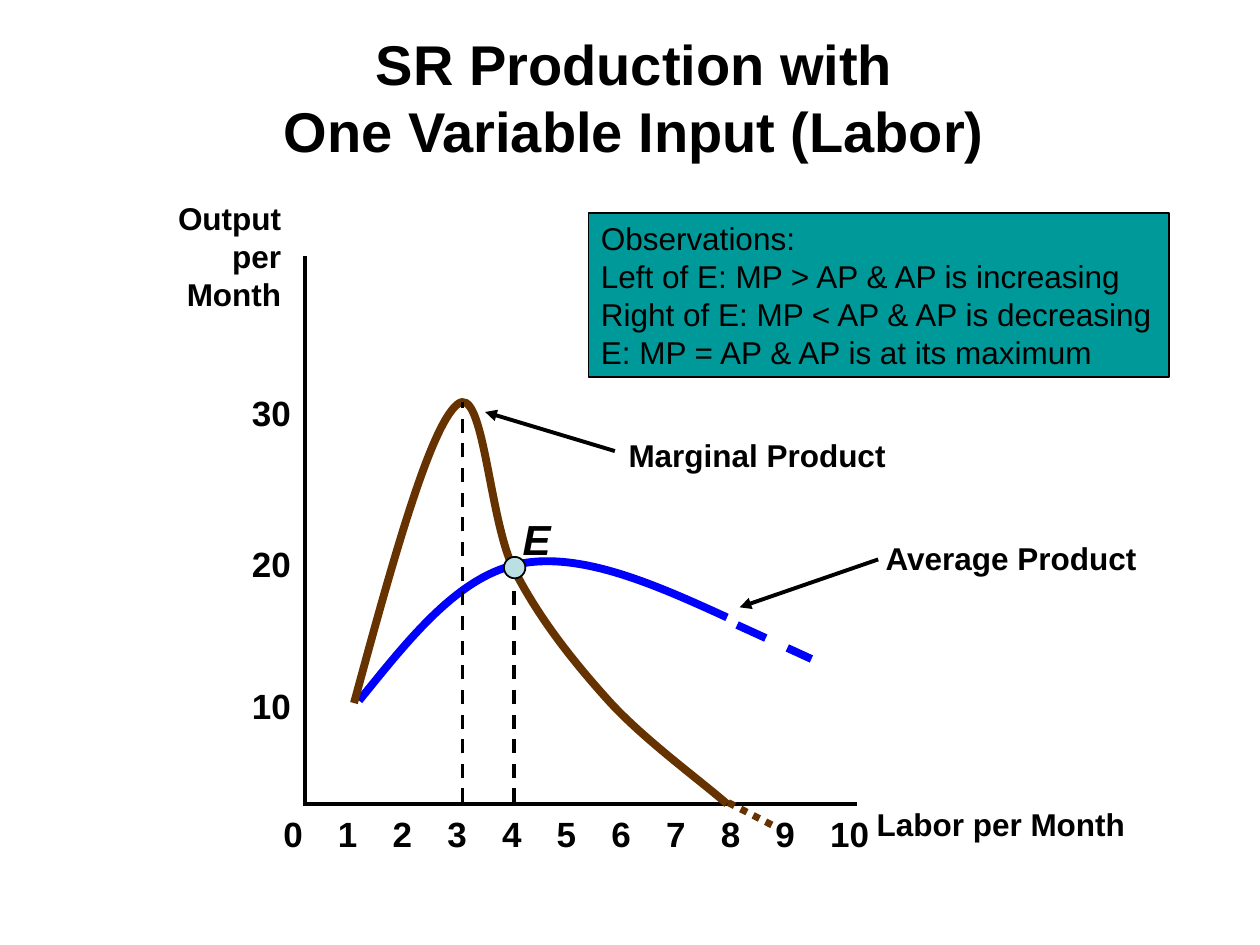
from dataclasses import dataclass
from typing import Optional

from lxml.etree import SubElement
from pptx import Presentation
from pptx.dml.color import RGBColor
from pptx.enum.dml import MSO_LINE as Dash
from pptx.enum.shapes import MSO_CONNECTOR as Link, MSO_SHAPE as Kind
from pptx.enum.text import MSO_ANCHOR as Anchor, MSO_AUTO_SIZE as Fit, PP_ALIGN as Align
from pptx.oxml.ns import qn
from pptx.util import Inches, Pt

HUES = {"ink": "000000", "blue": "0000FF", "brown": "663300",
        "teal": "009999", "pale": "BBE0E3"}
Point = tuple[float, float]


@dataclass
class Label:
    text: str
    left: float
    top: float
    width: float
    height: float = 0.4
    size: int = 18
    bold: bool = True
    slant: bool = False
    wrap: bool = False
    align: Align = Align.LEFT


@dataclass
class Stroke:
    start: Point
    end: Point
    width: float = 2
    hue: str = "ink"
    dash: Optional[Dash] = None
    arrow: bool = False


@dataclass
class Curve:
    hue: str
    points: list[Point]  # start, then two controls and an end per segment


def color(hue: str) -> RGBColor:
    return RGBColor.from_string(HUES[hue])


def set_line(line, hue: str, width: float) -> None:
    line.color.rgb = color(hue)
    line.width = Pt(width)


def set_text(shape, item: Label) -> None:
    frame = shape.text_frame
    frame.text = item.text
    frame.word_wrap = item.wrap
    frame.auto_size = Fit.SHAPE_TO_FIT_TEXT
    for para in frame.paragraphs:
        para.alignment = item.align
        for run in para.runs:
            font = run.font
            font.name, font.size = "Arial", Pt(item.size)
            font.bold, font.italic = item.bold, item.slant
            font.color.rgb = color("ink")


def add_label(slide, item: Label):
    box = slide.shapes.add_textbox(Inches(item.left), Inches(item.top),
                                   Inches(item.width), Inches(item.height))
    set_text(box, item)
    return box


def add_stroke(slide, item: Stroke) -> None:
    ends = [Inches(v) for v in item.start + item.end]
    link = slide.shapes.add_connector(Link.STRAIGHT, *ends)
    set_line(link.line, item.hue, item.width)
    if item.dash:
        link.line.dash_style = item.dash
    props = link._element.spPr
    if item.arrow:
        SubElement(props.find(qn("a:ln")), qn("a:tailEnd"), type="triangle")
    SubElement(props, qn("a:effectLst"))


def add_curve(slide, item: Curve) -> None:
    first, *rest = [(Inches(x), Inches(y)) for x, y in item.points]
    build = slide.shapes.build_freeform(*first)
    build.add_line_segments(rest, close=False)
    shape = build.convert_to_shape()
    shape.shadow.inherit = False
    shape.fill.background()
    set_line(shape.line, item.hue, 4.5)
    # Turn each three straight steps into one cubic segment
    path = next(shape._element.iter(qn("a:path")))
    steps = path.findall(qn("a:lnTo"))
    for i in range(0, len(steps), 3):
        cubic = SubElement(path, qn("a:cubicBezTo"))
        for step in steps[i:i + 3]:
            cubic.append(step[0])
            path.remove(step)


def add_form(slide, kind: Kind, fill: str, *rect: float):
    shape = slide.shapes.add_shape(kind, *[Inches(v) for v in rect])
    shape.shadow.inherit = False
    shape.fill.solid()
    shape.fill.fore_color.rgb = color(fill)
    set_line(shape.line, "ink", 1)
    return shape


TITLE = Label("SR Production with\vOne Variable Input (Labor)", 0.67, 0.33,
              8.73, 1.02, 32, wrap=True, align=Align.CENTER)
NOTES = Label("Observations:\n"
              "Left of E: MP > AP & AP is increasing\n"
              "Right of E: MP < AP & AP is decreasing\n"
              "E: MP = AP & AP is at its maximum",
              4.67, 1.69, 4.61, 1.3, bold=False)
LABELS = [
    Label("Output per\nMonth", 1.29, 1.53, 1.04, 1, wrap=True, align=Align.RIGHT),
    Label("Labor per Month", 6.86, 6.34, 2.17),
    Label("Average Product", 6.93, 4.23, 2.2),
    Label("Marginal Product", 4.89, 3.41, 2.24),
    Label("E", 4.05, 4.03, 0.42, 0.5, 24, slant=True),
]
TICKS = [Label(str(n), 2.15 + 0.434 * n, 6.4, 0.35 if n < 10 else 0.51, 0.43, 20)
         for n in range(11)]
TICKS += [Label(text, 1.9, top, 0.51, 0.43, 20)
          for text, top in (("10", 5.38), ("20", 4.26), ("30", 3.06))]

AVERAGE = Curve("blue", [(2.85, 5.56), (3.24, 5.08), (3.62, 4.59), (4.1, 4.48),
                         (4.59, 4.37), (5.18, 4.63), (5.77, 4.9)])
MARGIN = Curve("brown", [(2.81, 5.58), (3.11, 4.48), (3.41, 3.39), (3.63, 3.21),
                         (3.84, 3.03), (3.88, 4.13), (4.08, 4.52),
                         (4.28, 4.91), (4.55, 5.25), (4.83, 5.56),
                         (5.11, 5.87), (5.58, 6.21), (5.77, 6.38)])
BACK = [
    Stroke((5.85, 4.96), (6.44, 5.23), 4.5, "blue", Dash.DASH),
    Stroke((6.97, 4.44), (5.87, 4.82), 2.25, arrow=True),
    Stroke((2.42, 2.03), (2.42, 6.4)),
    Stroke((2.42, 6.38), (6.8, 6.38)),
    Stroke((4.08, 6.37), (4.08, 4.61), dash=Dash.DASH),
    Stroke((5.78, 6.37), (6.17, 6.57), 4, "brown", Dash.ROUND_DOT),
]
FRONT = [
    Stroke((3.67, 6.37), (3.67, 3.19), dash=Dash.DASH),
    Stroke((4.88, 3.58), (3.85, 3.27), 2.25, arrow=True),
]


def main() -> None:
    deck = Presentation()
    deck.slide_width, deck.slide_height = Inches(10), Inches(7.5)
    slide = deck.slides.add_slide(deck.slide_layouts[6])

    # Title
    head = add_label(slide, TITLE)
    head.text_frame.auto_size = Fit.NONE
    head.text_frame.vertical_anchor = Anchor.BOTTOM

    # Average curve, axes and guides
    add_curve(slide, AVERAGE)
    for item in BACK:
        add_stroke(slide, item)

    # Axis numbers and names
    for item in TICKS + LABELS:
        add_label(slide, item)

    # Marginal curve and point E
    add_curve(slide, MARGIN)
    add_form(slide, Kind.OVAL, "pale", 4, 4.42, 0.17, 0.17)
    for item in FRONT:
        add_stroke(slide, item)

    # Observations
    panel = add_form(slide, Kind.RECTANGLE, "teal", NOTES.left, NOTES.top,
                     NOTES.width, NOTES.height)
    set_text(panel, NOTES)
    panel.text_frame.vertical_anchor = Anchor.TOP

    deck.save("out.pptx")


if __name__ == "__main__":
    main()
